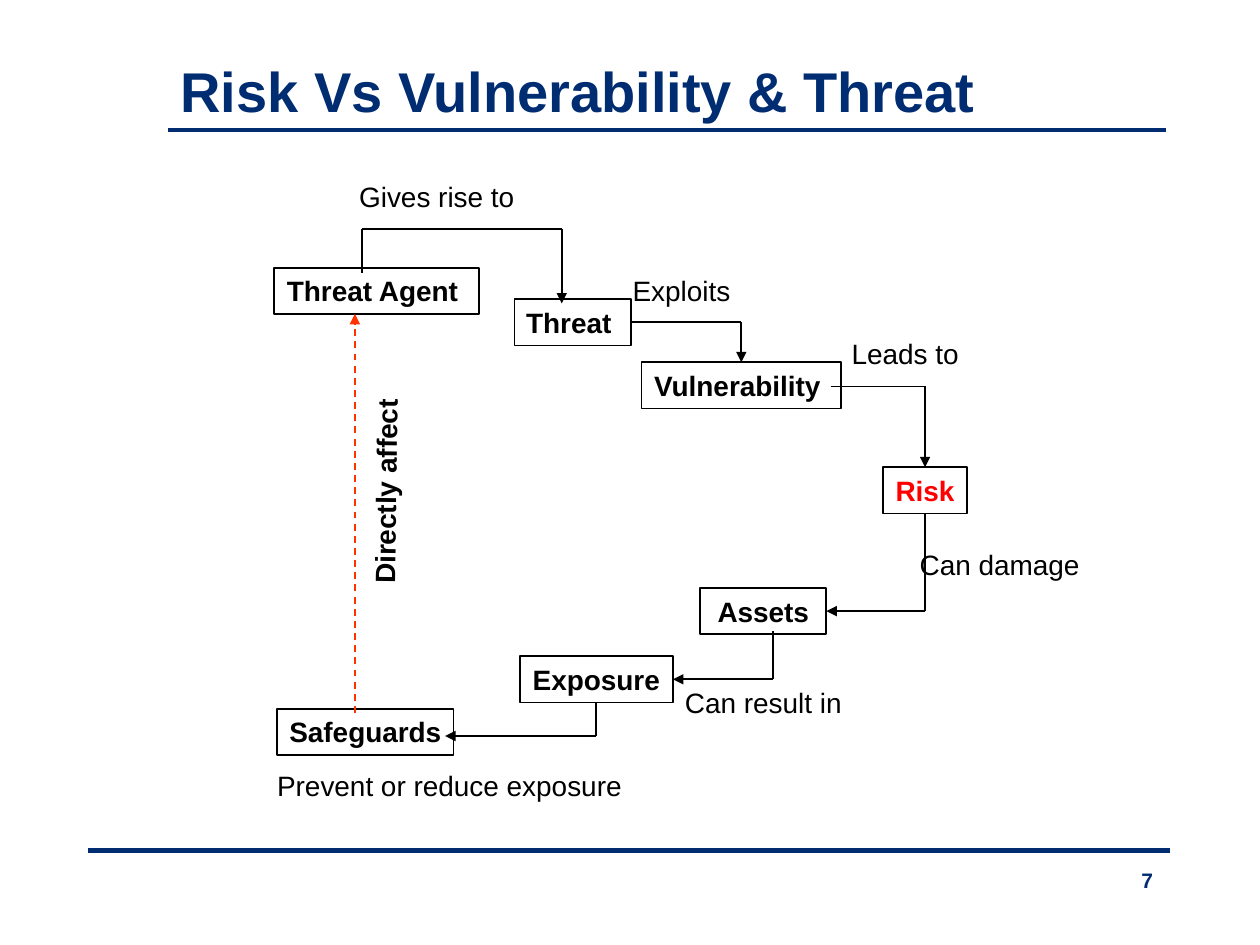
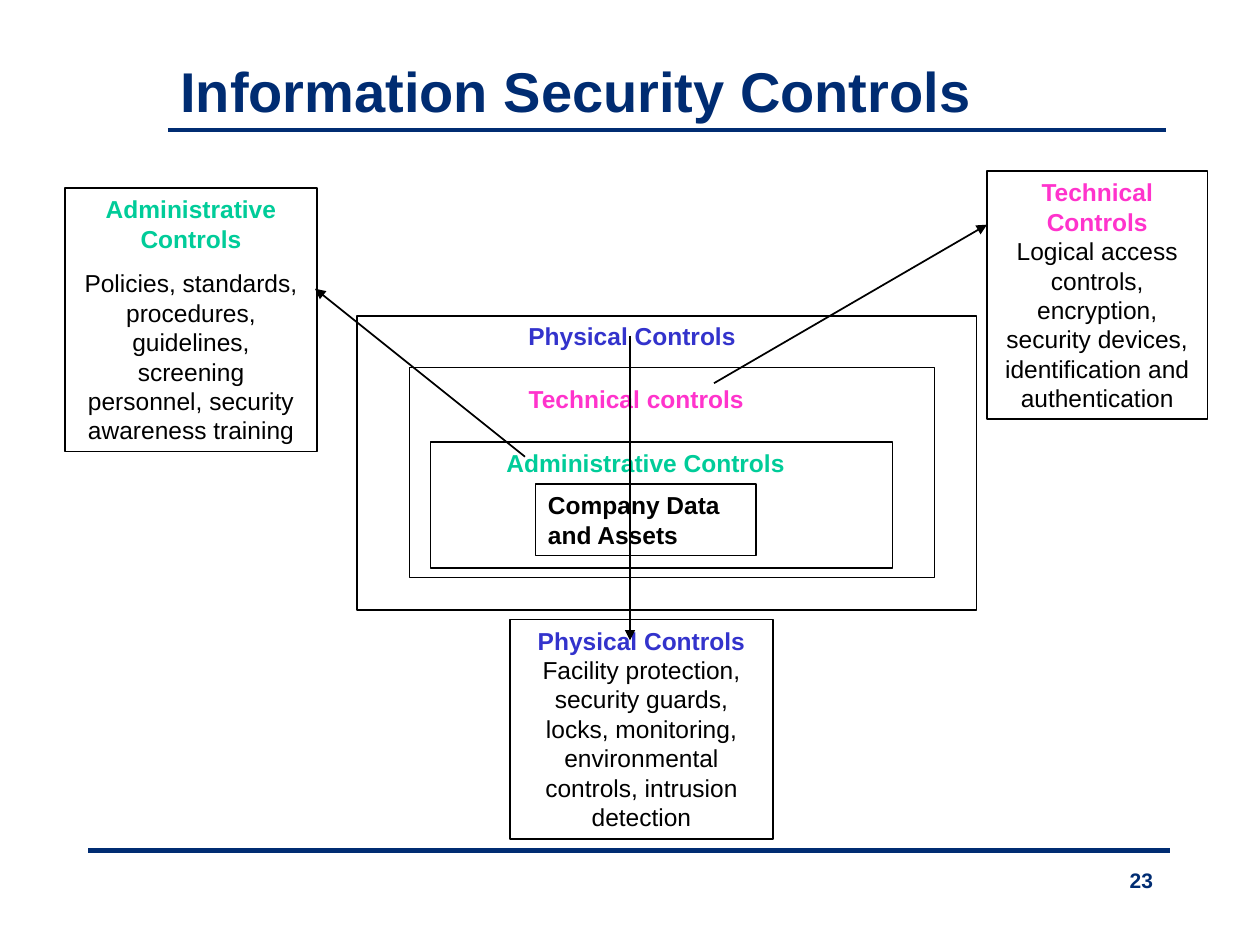
from itertools import pairwise
from lxml.etree import SubElement
from pptx import Presentation
from pptx.dml.color import RGBColor
from pptx.enum.dml import MSO_LINE_DASH_STYLE as Dash
from pptx.enum.shapes import MSO_CONNECTOR as Connector, MSO_SHAPE as Shape
from pptx.enum.text import MSO_ANCHOR as Anchor, PP_ALIGN as Align
from pptx.oxml.ns import qn
from pptx.util import Inches, Pt

deck = Presentation()
deck.slide_width, deck.slide_height = Inches(10), Inches(7.5)
COLUMN = deck.slide_width / 120
ROW = deck.slide_height / 90
LINE_HEIGHT = 4.4
NAVY, BLACK, RED, ORANGE = "002C72", "000000", "FF0000", "FF3300"
BLUE, PINK, GREEN = "3333CC", "FF33CC", "00CC99"
TOP, BOTTOM, RIGHT = 0, 2, 3
color = RGBColor.from_string


def write_text(page, text, left, top, width, height, size=16, colour=BLACK, bold=False,
               align=Align.CENTER, anchor=Anchor.TOP, border=False, wrap=False,
               body=None, space_before=0, rotation=0):
    area = [round(n) for n in (left * COLUMN, top * ROW, width * COLUMN, height * ROW)]
    if border:
        box = page.shapes.add_shape(Shape.RECTANGLE, *area)
        box.shadow.inherit = False
        box.fill.background()
        box.line.color.rgb = color(BLACK)
        box.line.width = Pt(1)
    else:
        box = page.shapes.add_textbox(*area)
    box.rotation = rotation
    frame = box.text_frame
    frame.word_wrap = wrap
    frame.vertical_anchor = anchor
    paragraphs = [(text, colour, bold)] + ([(body, BLACK, False)] if body else [])
    for number, (words, ink, weight) in enumerate(paragraphs):
        para = frame.add_paragraph() if number else frame.paragraphs[0]
        para.alignment = align
        para.space_before = Pt(space_before)
        if words:
            span = para.add_run()
            span.text = words
            span.font.name = "Arial"
            span.font.size = Pt(size)
            span.font.bold = weight
            span.font.color.rgb = color(ink)
    return box


def draw_line(page, start, end, colour=BLACK, width=1, arrow=False, dashed=False):
    (x1, y1), (x2, y2) = start, end
    line = page.shapes.add_connector(Connector.STRAIGHT, round(x1 * COLUMN), round(y1 * ROW),
                                     round(x2 * COLUMN), round(y2 * ROW))
    line.line.color.rgb = color(colour)
    line.line.width = Pt(width)
    if dashed:
        line.line.dash_style = Dash.DASH
    if arrow:
        SubElement(line.line._get_or_add_ln(), qn("a:tailEnd"), type="triangle")
    SubElement(line._element.spPr, qn("a:effectLst"))
    return line


pages = []
for title, number in [("Risk Vs Vulnerability & Threat", "7"),
                      ("Information Security Controls", "23")]:
    page = deck.slides.add_slide(deck.slide_layouts[6])
    draw_line(page, (16, 12.4), (111, 12.4), colour=NAVY, width=2.5)
    draw_line(page, (8.4, 81), (111.4, 81), colour=NAVY, width=2.5)
    write_text(page, title, 16, 4.6, 95, 8, size=32, colour=NAVY, bold=True,
               align=Align.LEFT, anchor=Anchor.MIDDLE, wrap=True)
    write_text(page, number, 99, 82, 12, 3.7, size=12, colour=NAVY, bold=True,
               align=Align.RIGHT, wrap=True)
    pages.append(page)
risk_page, controls_page = pages

boxes = {}
for name, left, top, width in [
    ("Threat Agent ", 26.1, 25.5, 19.5),
    ("Threat ", 49, 28.5, 11.1),
    ("Vulnerability ", 61.1, 34.5, 19),
    ("Risk", 84.1, 44.5, 8),
    ("Assets", 66.7, 56, 12),
    ("Exposure", 49.5, 62.5, 14.6),
    ("Safeguards", 26.4, 67.5, 16.8),
]:
    boxes[name.strip()] = write_text(risk_page, name, left, top, width, LINE_HEIGHT, bold=True,
                                     border=True, colour=RED if name == "Risk" else BLACK)

for label, left, top, width in [
    ("Gives rise to", 31.6, 16.5, 20),
    ("Exploits", 57.9, 25.5, 14),
    ("Leads to", 79.2, 31.5, 14),
    ("Can damage", 85.2, 51.6, 20),
    ("Can result in", 62.7, 64.7, 20),
    ("Prevent or reduce exposure", 23.8, 72.6, 38),
]:
    write_text(risk_page, label, left, top, width, LINE_HEIGHT)
write_text(risk_page, "Directly affect", 25.7, 44.6, 22, LINE_HEIGHT, bold=True, rotation=270.8)

draw_line(risk_page, (33.8, 67.9), (33.8, 29.9), colour=ORANGE, arrow=True, dashed=True)
for route, start_joint, end_joint in [
    ([(34.5, 26), (34.5, 21.8), (53.5, 21.8), (53.5, 28.9)], None, None),
    ([(60.1, 30.7), (70.6, 30.7), (70.6, 34.5)], ("Threat", RIGHT), ("Vulnerability", TOP)),
    ([(79.1, 36.8), (88.1, 36.8), (88.1, 44.5)], None, ("Risk", TOP)),
    ([(88.1, 48.9), (88.1, 58.2), (78.7, 58.2)], ("Risk", BOTTOM), ("Assets", RIGHT)),
    ([(73.6, 60.1), (73.6, 64.7), (64.1, 64.7)], None, ("Exposure", RIGHT)),
    ([(56.8, 66.9), (56.8, 70.1), (42.4, 70.1)], ("Exposure", BOTTOM), None),
]:
    legs = [draw_line(risk_page, start, end, arrow=end == route[-1])
            for start, end in pairwise(route)]
    if start_joint:
        legs[0].begin_connect(boxes[start_joint[0]], start_joint[1])
    if end_joint:
        legs[-1].end_connect(boxes[end_joint[0]], end_joint[1])

for left, top, width, height in [(41, 42.1, 44, 12), (39, 35, 50, 20), (34, 30.1, 59, 28)]:
    write_text(controls_page, "", left, top, width, height, border=True)
for layer, colour, left, top, width in [
    ("Administrative Controls", GREEN, 43, 42.1, 37),
    ("Technical controls", PINK, 48.1, 36, 25),
    ("Physical Controls", BLUE, 47.7, 30, 25),
]:
    write_text(controls_page, layer, left, top, width, 4.1, size=14, colour=colour, bold=True)
write_text(controls_page, "Company Data and Assets", 51, 46.1, 21, 6.8, size=14, bold=True,
           align=Align.LEFT, border=True, wrap=True)

for heading, colour, body, area, gap in [
    ("Physical Controls", BLUE,
     "Facility protection, security guards, locks, monitoring, environmental controls, "
     "intrusion detection", (48.6, 59, 25, 20.9), 0),
    ("Administrative Controls", GREEN,
     "Policies, standards, procedures, guidelines, screening personnel, security "
     "awareness training", (6.2, 17.9, 24, 25.1), 8.8),
    ("Technical Controls", PINK,
     "Logical access controls, encryption, security devices, identification and "
     "authentication", (94, 16.3, 21, 23.6), 0),
]:
    write_text(controls_page, heading, *area, size=14, colour=colour, bold=True, border=True,
               wrap=True, body=body, space_before=gap)

for start, end in [((50, 43.5), (30, 27.5)), ((68, 36.5), (94, 21.4)), ((60, 32), (60, 61))]:
    draw_line(controls_page, start, end, arrow=True)

deck.save("out.pptx")
